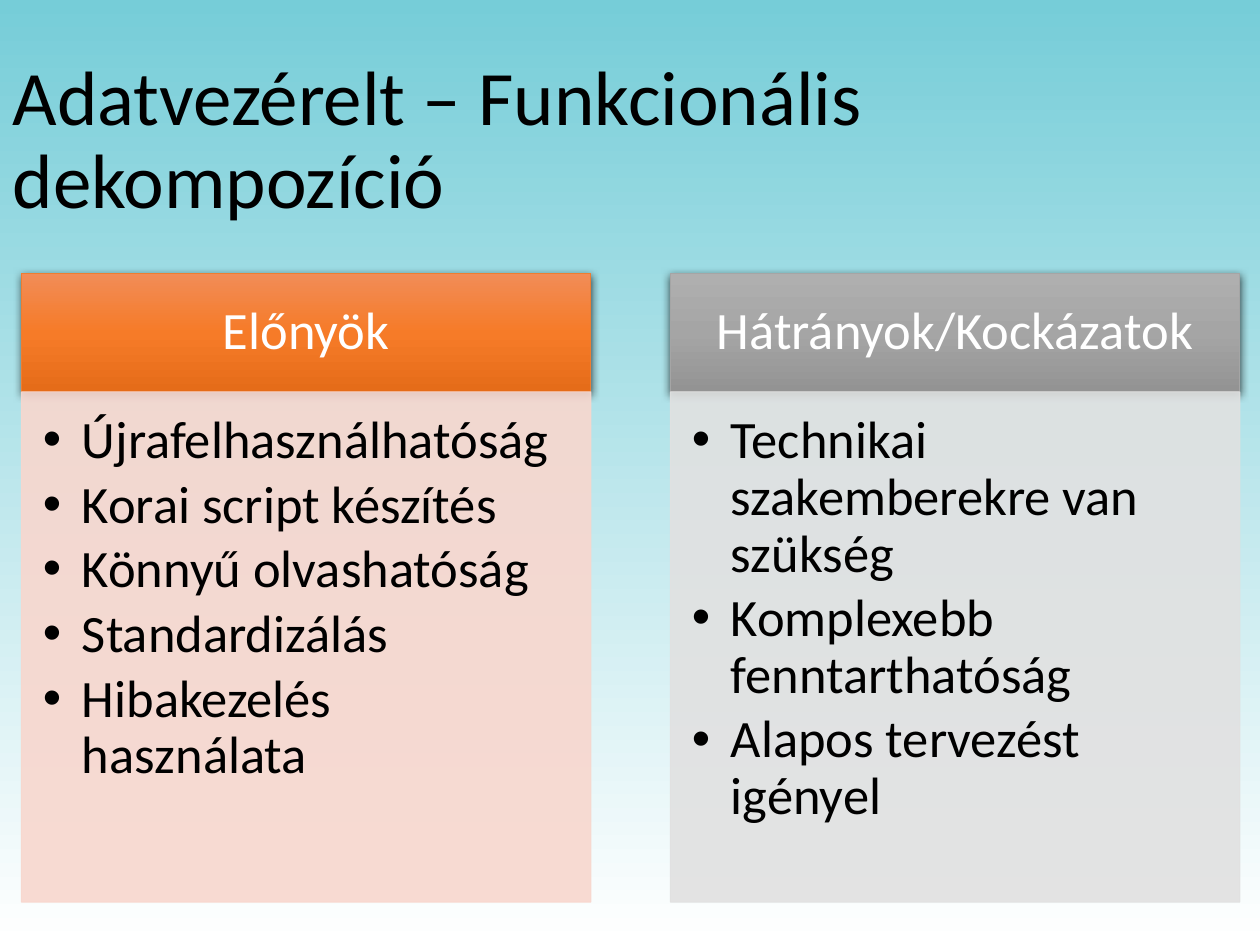
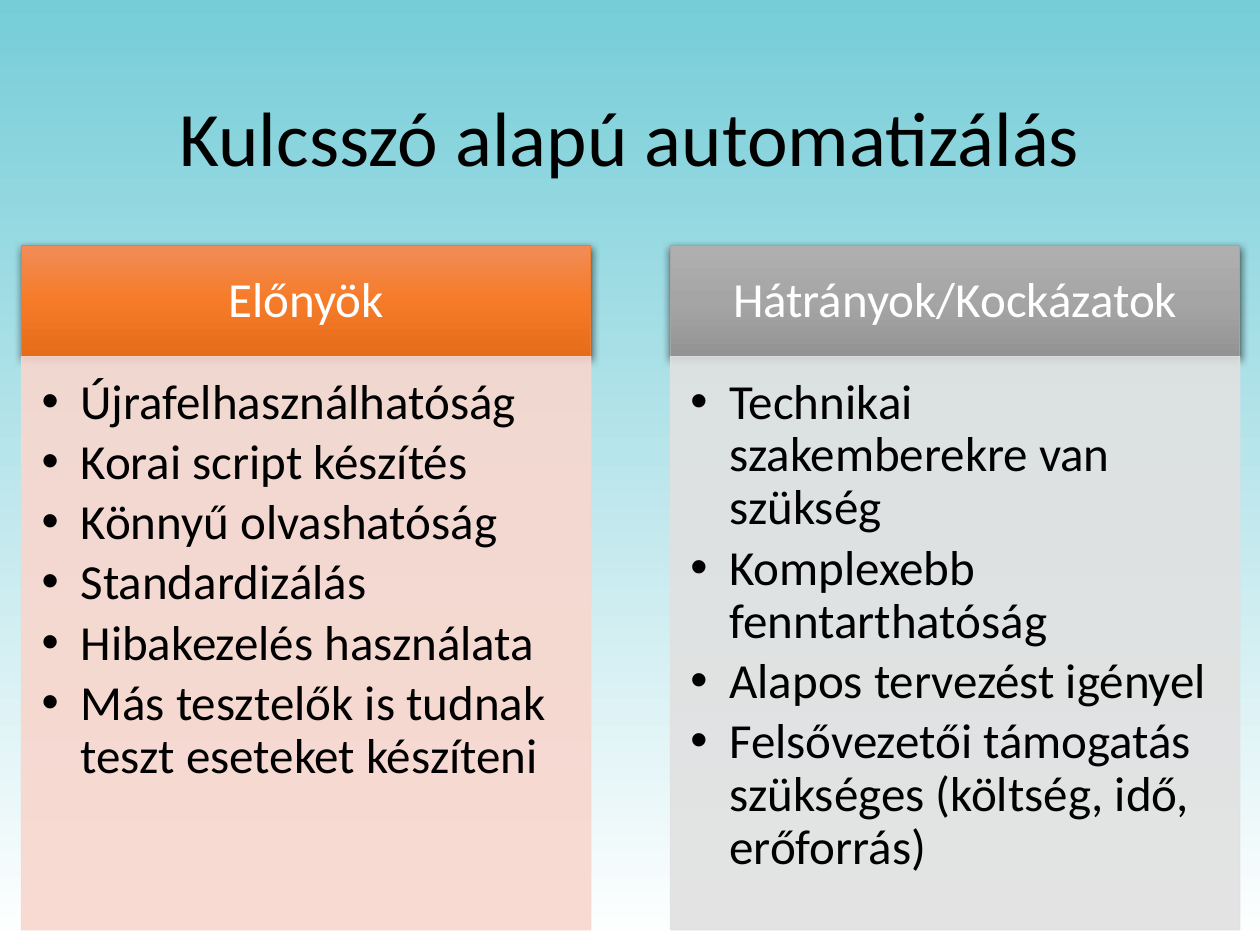
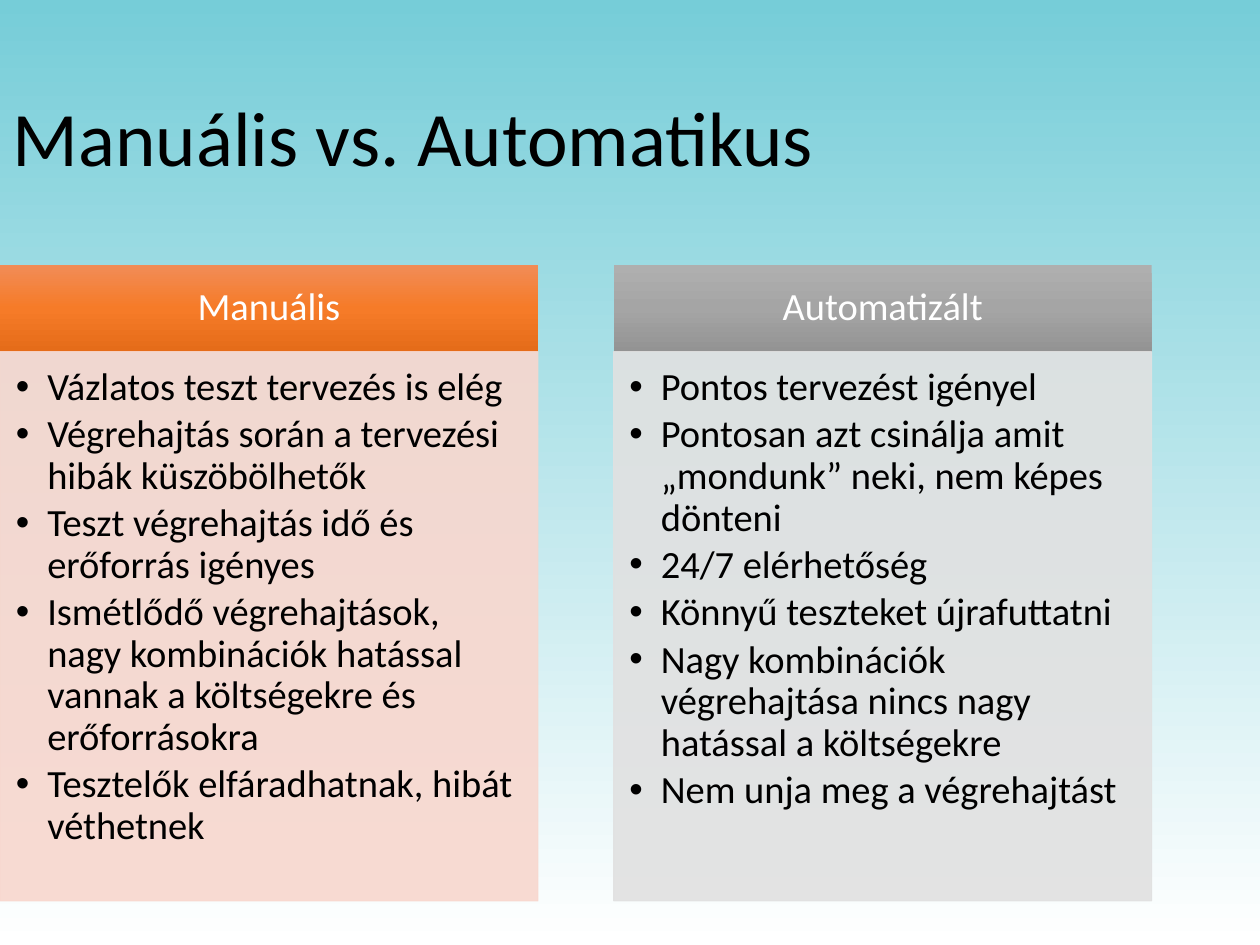
import copy
from dataclasses import dataclass

import pptx
import pptx.dml.color
import pptx.enum.text
import pptx.oxml
import pptx.oxml.ns
import pptx.util
from lxml import etree

Inches = pptx.util.Inches
Pt = pptx.util.Pt
qn = pptx.oxml.ns.qn
Align = pptx.enum.text.PP_ALIGN
Anchor = pptx.enum.text.MSO_ANCHOR

COMPARE = 4  # layout with a title and two pairs of heading and list


@dataclass(frozen=True)
class Tone:
    shades: tuple[str, ...]
    edge: str
    pale: str


@dataclass(frozen=True)
class Theme:
    font: str = "Calibri"
    title: int = 44
    dark: str = "000000"
    light: str = "FFFFFF"
    sky: tuple[str, ...] = ("76CDD8", "FFFFFF")
    tones: tuple[Tone, ...] = (
        Tone(("F18C57", "F67B28", "E56C19"), "ED7D31", "F8D7CE"),
        Tone(("AFAFAF", "A5A5A5", "939393"), "A5A5A5", "E1E1E1"),
    )
    alpha: int = 90
    edge: float = 0.5
    leading: float = 0.9
    after: float = 0.15


@dataclass(frozen=True)
class Grid:
    left: float
    top: float
    width: float
    gap: float
    head: float
    body: float
    size: int
    indent: float
    raised: bool = True


@dataclass(frozen=True)
class Column:
    head: str
    items: tuple[str, ...]


@dataclass(frozen=True)
class Page:
    title: str
    grid: Grid
    columns: tuple[Column, Column]
    wide: float = 8.62
    align: Align = Align.LEFT


THEME = Theme()

PAGES = (
    Page(
        "Adatvezérelt – Funkcionális dekompozíció",
        Grid(0.17, 2.17, 4.52, 0.63, 0.94, 4.05, 30, 0.31),
        (
            Column("Előnyök", (
                "Újrafelhasználhatóság",
                "Korai script készítés",
                "Könnyű olvashatóság",
                "Standardizálás",
                "Hibakezelés használata",
            )),
            Column("Hátrányok/Kockázatok", (
                "Technikai szakemberekre van szükség",
                "Komplexebb fenntarthatóság",
                "Alapos tervezést igényel",
            )),
        ),
    ),
    Page(
        "Kulcsszó alapú automatizálás",
        Grid(0.17, 1.95, 4.52, 0.63, 0.88, 4.55, 28, 0.31),
        (
            Column("Előnyök", (
                "Újrafelhasználhatóság",
                "Korai script készítés",
                "Könnyű olvashatóság",
                "Standardizálás",
                "Hibakezelés használata",
                "Más tesztelők is tudnak teszt eseteket készíteni",
            )),
            Column("Hátrányok/Kockázatok", (
                "Technikai szakemberekre van szükség",
                "Komplexebb fenntarthatóság",
                "Alapos tervezést igényel",
                "Felsővezetői támogatás szükséges (költség, idő, erőforrás)",
            )),
        ),
        wide=10,
        align=Align.CENTER,
    ),
    Page(
        "Manuális vs. Automatikus",
        Grid(0, 2.1, 4.27, 0.6, 0.69, 4.36, 22, 0.25, raised=False),
        (
            Column("Manuális", (
                "Vázlatos teszt tervezés is elég",
                "Végrehajtás során a tervezési hibák küszöbölhetők",
                "Teszt végrehajtás idő és erőforrás igényes",
                "Ismétlődő végrehajtások, nagy kombinációk hatással vannak "
                "a költségekre és erőforrásokra",
                "Tesztelők elfáradhatnak, hibát véthetnek",
            )),
            Column("Automatizált", (
                "Pontos tervezést igényel",
                "Pontosan azt csinálja amit „mondunk” neki, nem képes dönteni",
                "24/7 elérhetőség",
                "Könnyű teszteket újrafuttatni",
                "Nagy kombinációk végrehajtása nincs nagy hatással a költségekre",
                "Nem unja meg a végrehajtást",
            )),
        ),
    ),
)


def rgb(code: str) -> pptx.dml.color.RGBColor:
    return pptx.dml.color.RGBColor.from_string(code)


def place(shape, left: float, top: float, width: float, height: float) -> None:
    shape.left, shape.top = Inches(left), Inches(top)
    shape.width, shape.height = Inches(width), Inches(height)


def shade(owner, fill, colors: tuple[str, ...]) -> None:
    """Fill from top to bottom with evenly spaced colours."""
    fill.gradient()
    fill.gradient_angle = 270
    stops = next(owner.element.iter(qn("a:gsLst")))
    while len(stops) < len(colors):
        stops.append(copy.deepcopy(stops[-1]))
    for i, (stop, code) in enumerate(zip(fill.gradient_stops, colors)):
        stop.color.rgb = rgb(code)
        stop.position = i / (len(colors) - 1)


def fade(shape, alpha: int) -> None:
    """Make the fill and line of a shape partly clear."""
    for color in shape.element.spPr.iter(qn("a:srgbClr")):
        etree.SubElement(color, qn("a:alpha"), val=str(alpha * 1000))


def edge(shape, code: str) -> None:
    shape.line.color.rgb = rgb(code)
    shape.line.width = Pt(THEME.edge)


def raise_up(shape) -> None:
    """Add a soft shadow below the shape."""
    shape.shadow.inherit = False
    effects = shape.element.spPr.find(qn("a:effectLst"))
    shadow = etree.SubElement(
        effects, qn("a:outerShdw"), blurRad=str(Pt(4.5)), dist=str(Pt(1.5)),
        dir="5400000", algn="ctr", rotWithShape="0")
    color = etree.SubElement(shadow, qn("a:srgbClr"), val=THEME.dark)
    etree.SubElement(color, qn("a:alpha"), val="63000")


def inset(frame, size: int, left: float, top: float, right: float, base: float) -> None:
    """Set margins given as shares of the type size."""
    frame.margin_left, frame.margin_top = Pt(size * left), Pt(size * top)
    frame.margin_right, frame.margin_bottom = Pt(size * right), Pt(size * base)


def bullet(para, indent: float) -> None:
    props = para._p.get_or_add_pPr()
    props.set("marL", str(Inches(indent)))
    props.set("indent", str(-Inches(indent)))
    etree.SubElement(props, qn("a:buChar"), char="•")


def write(shape, lines: tuple[str, ...], size: int, color: str, align: Align,
          anchor: Anchor, indent: float = 0) -> None:
    frame = shape.text_frame
    frame.word_wrap = True
    frame.auto_size = pptx.enum.text.MSO_AUTO_SIZE.NONE
    frame.vertical_anchor = anchor
    for i, line in enumerate(lines):
        para = frame.add_paragraph() if i else frame.paragraphs[0]
        if indent:
            bullet(para, indent)
            para.space_after = Pt(size * THEME.after)
        para.alignment = align
        para.line_spacing = THEME.leading
        para.space_before = Pt(0)
        run = para.add_run()
        run.text = line
        run.font.name = THEME.font
        run.font.size = Pt(size)
        run.font.bold = False
        run.font.color.rgb = rgb(color)


def draw_head(shape, text: str, tone: Tone, grid: Grid, left: float) -> None:
    place(shape, left, grid.top, grid.width, grid.head)
    shade(shape, shape.fill, tone.shades)
    if grid.raised:
        edge(shape, tone.edge)
        raise_up(shape)
    inset(shape.text_frame, grid.size, 0.56, 0.32, 0.56, 0.32)
    write(shape, (text,), grid.size, THEME.light, Align.CENTER, Anchor.MIDDLE)


def draw_list(shape, items: tuple[str, ...], tone: Tone, grid: Grid, left: float) -> None:
    place(shape, left, grid.top + grid.head, grid.width, grid.body)
    shape.fill.solid()
    shape.fill.fore_color.rgb = rgb(tone.pale)
    edge(shape, tone.pale)
    fade(shape, THEME.alpha)
    inset(shape.text_frame, grid.size, 0.41, 0.41, 0.56, 0.62)
    write(shape, items, grid.size, THEME.dark, Align.LEFT, Anchor.TOP, grid.indent)


def draw_page(deck, page: Page) -> None:
    slide = deck.slides.add_slide(deck.slide_layouts[COMPARE])
    title, *boxes = slide.placeholders
    place(title, 0, 0.4, page.wide, 1.45)
    write(title, (page.title,), THEME.title, THEME.dark, page.align, Anchor.MIDDLE)
    grid = page.grid
    for i, (column, tone) in enumerate(zip(page.columns, THEME.tones)):
        left = grid.left + i * (grid.width + grid.gap)
        head, body = boxes[2 * i:2 * i + 2]
        draw_head(head, column.head, tone, grid, left)
        draw_list(body, column.items, tone, grid, left)


def main() -> None:
    deck = pptx.Presentation()
    deck.slide_width, deck.slide_height = Inches(10), Inches(7.5)
    master = deck.slide_master
    shade(master, master.background.fill, THEME.sky)
    for page in PAGES:
        draw_page(deck, page)
    deck.save("out.pptx")


if __name__ == "__main__":
    main()
